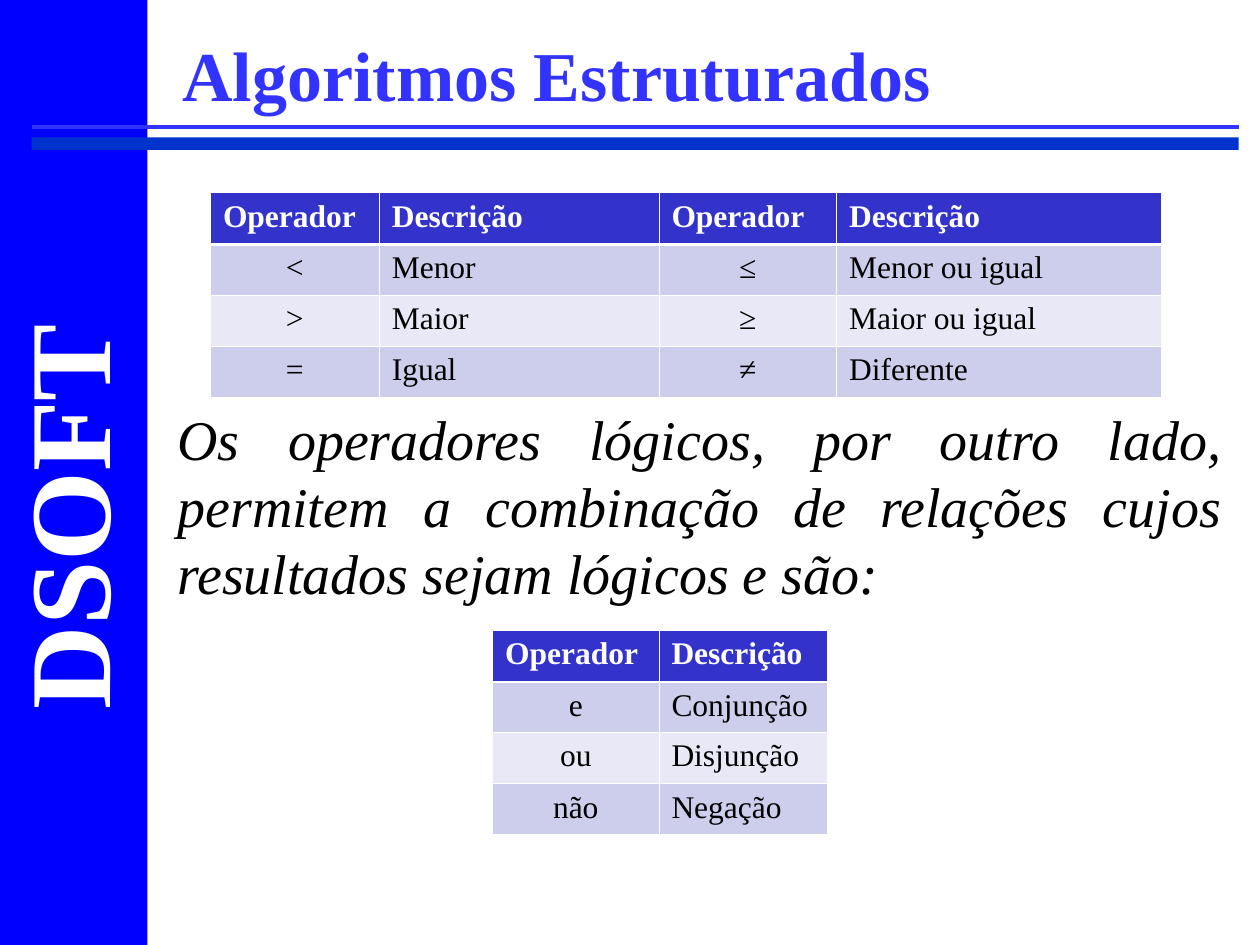
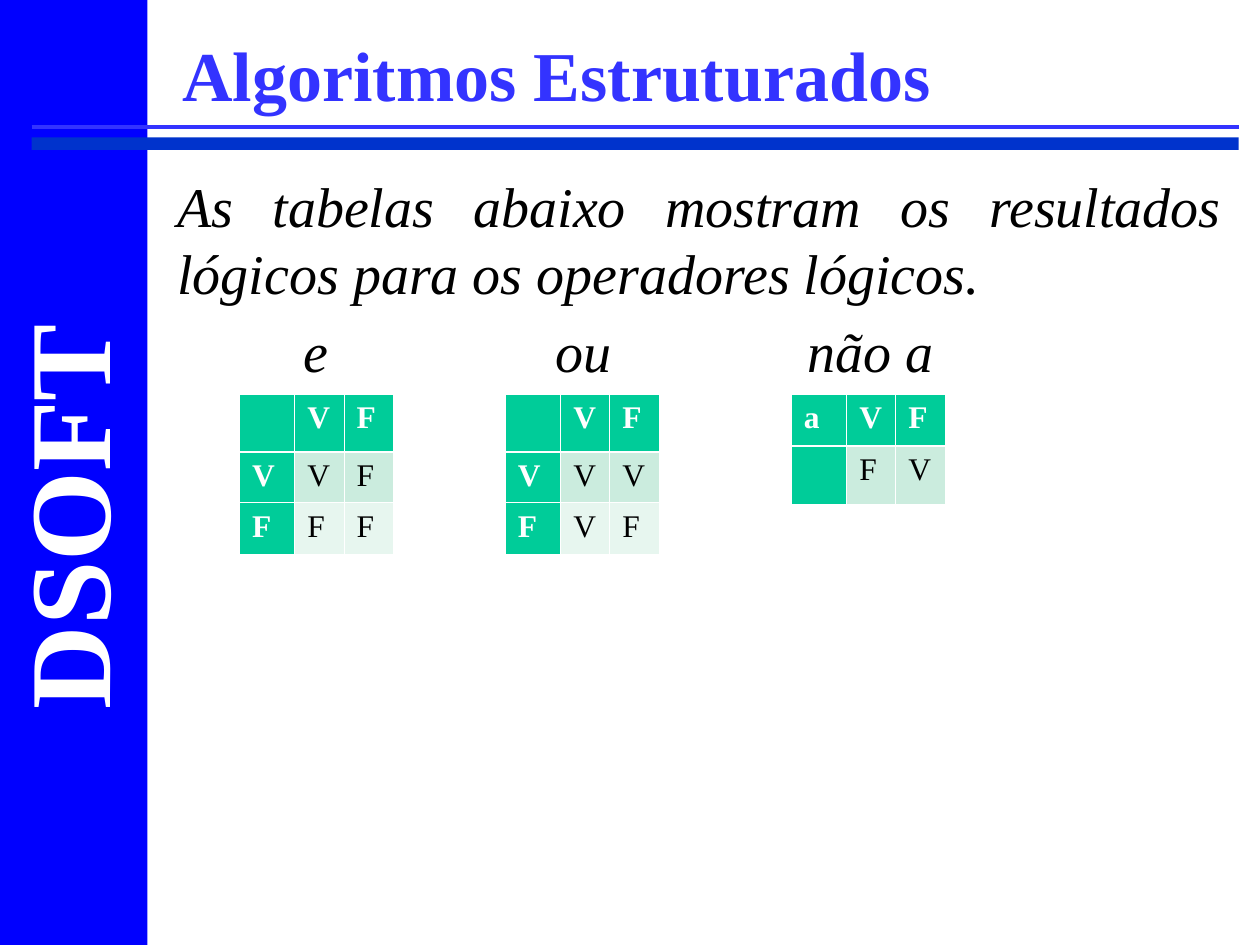
from lxml import etree
from pptx import Presentation
from pptx.dml.color import RGBColor
from pptx.enum.shapes import MSO_CONNECTOR, MSO_SHAPE
from pptx.enum.text import MSO_ANCHOR, PP_ALIGN
from pptx.oxml.ns import qn
from pptx.util import Pt

EMU_PER_PX = 9144  # 100 px to the inch
FONT = "Times New Roman"

WHITE = RGBColor(0xFF, 0xFF, 0xFF)
BLACK = RGBColor(0x00, 0x00, 0x00)
SIDEBAR_BLUE = RGBColor(0x00, 0x00, 0xFF)
BAND_BLUE = RGBColor(0x00, 0x33, 0xCC)
TITLE_BLUE = RGBColor(0x33, 0x33, 0xFF)

# Table palettes: heading, odd body rows, even body rows
INDIGO = (RGBColor(0x33, 0x33, 0xCC), RGBColor(0xCD, 0xCD, 0xEC), RGBColor(0xE8, 0xE8, 0xF6))
GREEN = (RGBColor(0x00, 0xCC, 0x99), RGBColor(0xCB, 0xEC, 0xDE), RGBColor(0xE7, 0xF6, 0xEF))

RECT = MSO_SHAPE.RECTANGLE
STRAIGHT = MSO_CONNECTOR.STRAIGHT
LEFT, CENTER, JUSTIFY = PP_ALIGN.LEFT, PP_ALIGN.CENTER, PP_ALIGN.JUSTIFY
TOP, MIDDLE = MSO_ANCHOR.TOP, MSO_ANCHOR.MIDDLE

THIN, THICK = Pt(0.45), Pt(1.47)
BODY_LEFT, BODY_TOP, BODY_WIDTH, BODY_BOTTOM = 131, 131, 849, 722
LABEL_TABS = (100, 300, 500)


def px(*lengths):
    return [n * EMU_PER_PX for n in lengths]


def set_font(p, size, color, bold=False, italic=False):
    font = p.font
    font.name, font.size = FONT, Pt(size)
    font.bold, font.italic = bold, italic
    font.color.rgb = color


def set_tabs(p, stops):
    """Adds left tab stops; the schema wants them before the paragraph's font."""
    tabs = etree.Element(qn("a:tabLst"))
    for pos in px(*stops):
        etree.SubElement(tabs, qn("a:tab"), pos=str(pos), algn="l")
    p._p.get_or_add_pPr().find(qn("a:defRPr")).addprevious(tabs)


def set_borders(cell, top, bottom):
    tcPr = cell._tc.get_or_add_tcPr()
    for side, width in (("L", THIN), ("R", THIN), ("T", top), ("B", bottom)):
        ln = etree.SubElement(tcPr, qn(f"a:ln{side}"), w=str(width))
        fill = etree.SubElement(ln, qn("a:solidFill"))
        etree.SubElement(fill, qn("a:srgbClr"), val=str(WHITE))


class Deck:
    """Holds the presentation, its shared style and the current slide."""

    def __init__(self, width, height):
        self.prs = Presentation()
        self.prs.slide_width, self.prs.slide_height = px(width, height)
        self.s = None

    def new_slide(self, title):
        self.s = self.prs.slides.add_slide(self.prs.slide_layouts[6])
        self.rect(0, 0, 117, 750, SIDEBAR_BLUE)
        self.rect(25, 109, 958, 10, BAND_BLUE)
        self.line(25, 101, 983, 101, TITLE_BLUE, 2.25)
        course = self.text(-111, 350, 325, 120, "DSOFT", 66, WHITE, bold=True)
        course.rotation = 270
        course.text_frame.margin_right = 0  # room for the word on one line
        self.text(135, 8, 849, 100, title, 40, TITLE_BLUE, bold=True, anchor=MIDDLE)

    def rect(self, x, y, w, h, color):
        sp = self.s.shapes.add_shape(RECT, *px(x, y, w, h))
        sp.shadow.inherit = False
        sp.fill.solid()
        sp.fill.fore_color.rgb = color
        sp.line.fill.background()

    def line(self, x1, y1, x2, y2, color, width):
        cxn = self.s.shapes.add_connector(STRAIGHT, *px(x1, y1, x2, y2))
        cxn.line.color.rgb = color
        cxn.line.width = Pt(width)
        etree.SubElement(cxn._element.spPr, qn("a:effectLst"))

    def text(self, x, y, w, h, text, size, color, bold=False, italic=False,
             align=LEFT, anchor=TOP):
        sp = self.s.shapes.add_textbox(*px(x, y, w, h))
        tf = sp.text_frame
        tf.text = text
        tf.word_wrap = True
        tf.vertical_anchor = anchor
        for p in tf.paragraphs:
            p.alignment = align
            set_font(p, size, color, bold, italic)
        return sp

    def body(self, y, text):
        """Adds the justified italic text from y to the foot of the body."""
        sp = self.text(BODY_LEFT, y, BODY_WIDTH, BODY_BOTTOM - y, text, 32, BLACK,
                       italic=True, align=JUSTIFY)
        for p in sp.text_frame.paragraphs:
            p.space_before = Pt(6)
        return sp.text_frame

    def table(self, x, y, cols, heights, rows, palette, centered=(), head_col=False):
        """Adds a striped table; centered lists the body columns to centre."""
        frame = self.s.shapes.add_table(len(rows), len(cols),
                                        *px(x, y, sum(cols), sum(heights)))
        table = frame.table
        for col, width in zip(table.columns, px(*cols)):
            col.width = width
        for row, height in zip(table.rows, px(*heights)):
            row.height = height
        for i, row in enumerate(rows):
            stripe = palette[2 - i % 2]
            for j, text in enumerate(row):
                cell = table.cell(i, j)
                heading = i == 0 or (head_col and j == 0)
                set_borders(cell, THICK if i == 1 else THIN, THICK if i == 0 else THIN)
                cell.fill.solid()
                cell.fill.fore_color.rgb = palette[0] if heading else stripe
                cell.text = text
                p = cell.text_frame.paragraphs[0]
                p.alignment = CENTER if i and j in centered else LEFT
                set_font(p, 18, WHITE if heading else BLACK, bold=heading)


def operators_slide(deck):
    deck.new_slide("Algoritmos Estruturados")
    deck.body(316, "Os operadores lógicos, por outro lado, permitem a combinação "
                   "de relações cujos resultados sejam lógicos e são:")
    heights = (41, 40, 41, 40)
    relational = [
        ("Operador", "Descrição", "Operador", "Descrição"),
        ("<", "Menor", "≤", "Menor ou igual"),
        (">", "Maior", "≥", "Maior ou igual"),
        ("=", "Igual", "≠", "Diferente"),
    ]
    deck.table(167, 153, (134, 222, 141, 258), heights, relational, INDIGO, centered=(0, 2))
    logical = [
        ("Operador", "Descrição"),
        ("e", "Conjunção"),
        ("ou", "Disjunção"),
        ("não", "Negação"),
    ]
    deck.table(391, 500, (132, 134), heights, logical, INDIGO, centered=(0,))


def truth_tables_slide(deck):
    deck.new_slide("Algoritmos Estruturados")
    tf = deck.body(BODY_TOP, "As tabelas abaixo mostram os resultados lógicos "
                             "para os operadores lógicos.\n\te\tou\tnão a")
    set_tabs(tf.paragraphs[1], LABEL_TABS)

    truth_tables = [
        (190, (46, 40, 41), [("", "V", "F"), ("V", "V", "F"), ("F", "F", "F")]),
        (401, (46, 40, 41), [("", "V", "F"), ("V", "V", "V"), ("F", "V", "F")]),
        (628, (41, 46), [("a", "V", "F"), ("", "F", "V")]),
    ]
    for x, heights, rows in truth_tables:
        deck.table(x, 313, (44, 39, 39), heights, rows, GREEN, head_col=True)


def main():
    deck = Deck(1000, 750)
    operators_slide(deck)
    truth_tables_slide(deck)
    deck.prs.save("out.pptx")


if __name__ == "__main__":
    main()
